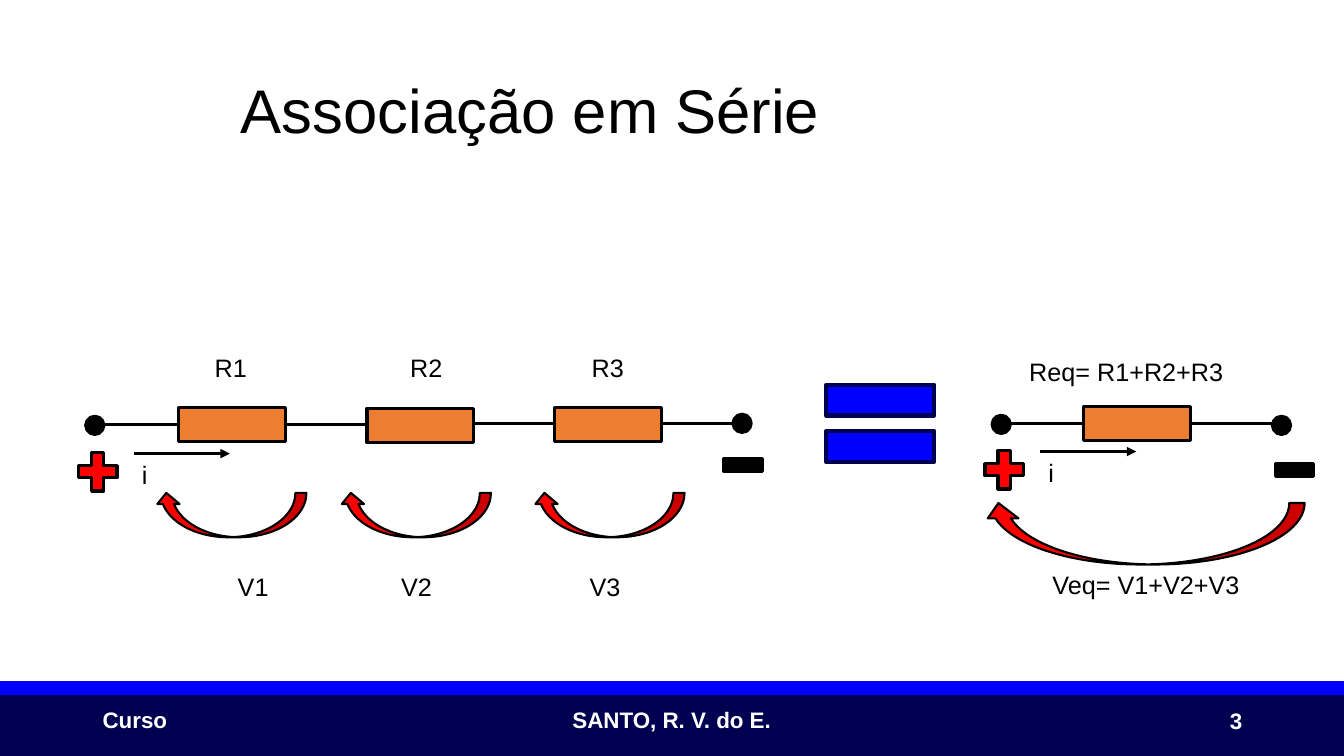
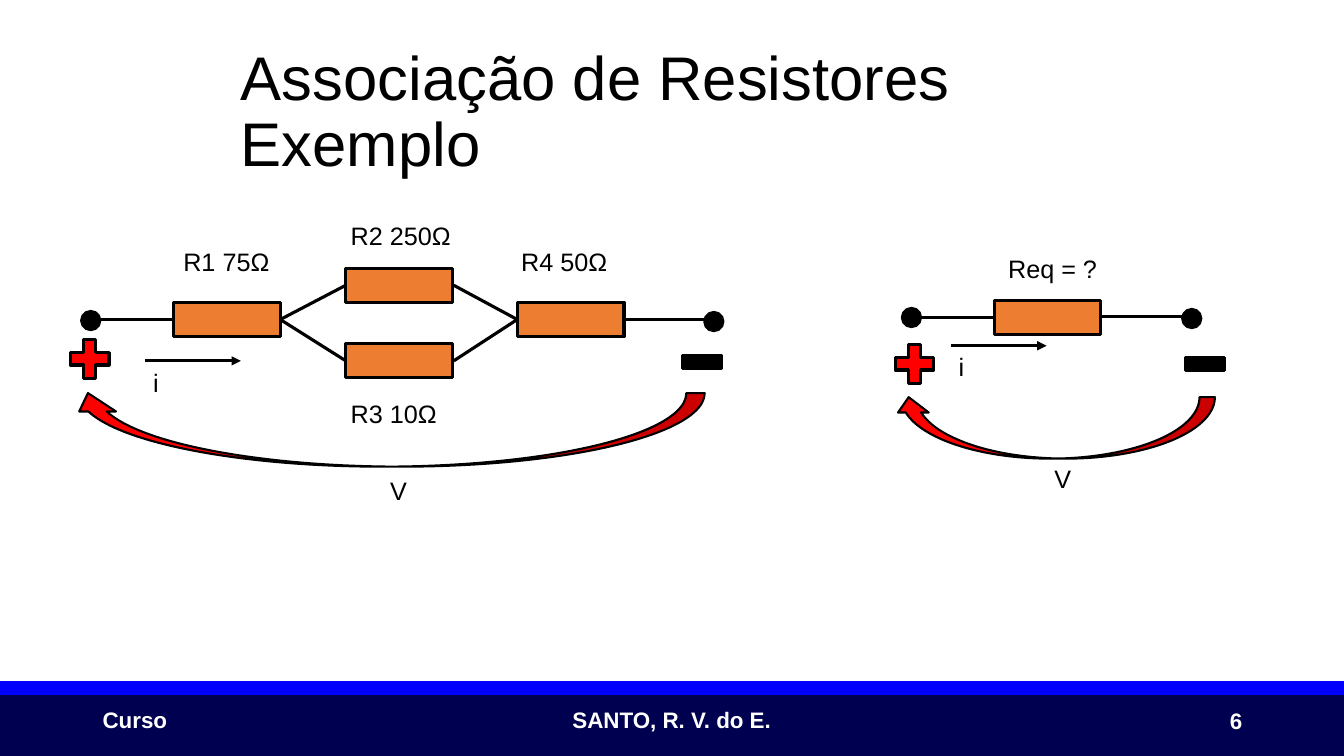
from lxml import etree
from pptx import Presentation
from pptx.dml.color import RGBColor
from pptx.enum.shapes import MSO_CONNECTOR, MSO_SHAPE
from pptx.enum.text import MSO_ANCHOR, PP_ALIGN
from pptx.oxml.ns import qn
from pptx.util import Inches, Pt

RECT, OVAL = MSO_SHAPE.RECTANGLE, MSO_SHAPE.OVAL
PLUS, MINUS, EQUAL = MSO_SHAPE.MATH_PLUS, MSO_SHAPE.MATH_MINUS, MSO_SHAPE.MATH_EQUAL
CURVE, LINE = MSO_SHAPE.CURVED_UP_ARROW, MSO_CONNECTOR.STRAIGHT
LEFT, RIGHT = PP_ALIGN.LEFT, PP_ALIGN.RIGHT
TOP, MIDDLE = MSO_ANCHOR.TOP, MSO_ANCHOR.MIDDLE

FONT = "Arial"
BLACK, WHITE, RED = "000000", "FFFFFF", "FF0000"
NAVY, BLUE, ORANGE = "000050", "0000FF", "ED7D31"

BANDS = [(0, 6.9, 13.33, 0.6, NAVY), (0, 6.76, 13.33, 0.13, BLUE)]
FOOTERS = [("Curso", 0.92, 0.9), ("SANTO, R. V. do E.", 5.58, 2.2)]
BOX_W, BOX_H, DOT = 1.06, 0.34, 0.18

SERIES = {
    "title": "Associação em Série",
    "number": "3",
    "wires": [
        (1.76, 4.21, 0.94, 4.21), (2.84, 4.21, 3.64, 4.21),
        (4.7, 4.2, 5.5, 4.2), (6.55, 4.2, 7.35, 4.2),
        (10.75, 4.2, 9.93, 4.2), (11.82, 4.2, 12.62, 4.2),
    ],
    "resistors": [(1.77, 4.04), (3.64, 4.05), (5.5, 4.04), (10.75, 4.03)],
    "dots": [(0.85, 4.13), (7.27, 4.11), (9.84, 4.12), (12.62, 4.13)],
    "plus": [(0.71, 4.42), (9.7, 4.4)],
    "minus": [(7.11, 4.34), (12.58, 4.39)],
    "equal": [(8, 3.55)],
    "currents": [(1.33, 4.5), (10.32, 4.48)],
    "volts": [
        (1.54, 4.89, 1.5, 0.44), (3.37, 4.89, 1.5, 0.44),
        (5.29, 4.89, 1.5, 0.44), (9.75, 4.99, 3.19, 0.61),
    ],
    "labels": [
        ("R1", 2.03, 3.45, 0.52), ("R2", 3.97, 3.45, 0.52),
        ("R3", 5.77, 3.45, 0.52), ("V1", 2.26, 5.62, 0.57),
        ("V2", 3.88, 5.62, 0.57), ("V3", 5.75, 5.62, 0.57),
        ("Req= R1+R2+R3", 10.11, 3.49, 2.14),
        ("Veq= V1+V2+V3", 10.34, 5.6, 2.09),
    ],
}
MIXED = {
    "title": "Associação de Resistores\vExemplo",
    "number": "6",
    "wires": [
        (2.78, 3.17, 3.43, 2.83), (3.43, 3.58, 2.78, 3.17),
        (4.5, 2.83, 5.13, 3.17), (5.13, 3.17, 4.5, 3.58),
        (6.19, 3.17, 6.99, 3.17), (1.72, 3.17, 0.9, 3.17),
        (9.86, 3.15, 9.04, 3.15), (10.93, 3.14, 11.73, 3.14),
    ],
    "resistors": [(3.43, 2.66), (3.43, 3.41), (5.13, 3), (1.72, 3), (9.86, 2.98)],
    "dots": [(6.99, 3.1), (0.81, 3.09), (8.95, 3.06), (11.73, 3.07)],
    "plus": [(0.63, 3.3), (8.81, 3.35)],
    "minus": [(6.7, 3.32), (11.69, 3.34)],
    "equal": [],
    "currents": [(1.44, 3.58), (9.43, 3.43)],
    "volts": [(0.69, 3.9, 6.3, 0.73), (8.86, 3.94, 3.19, 0.61)],
    "labels": [
        ("R1 75Ω", 1.72, 2.39, 1.07), ("R2 250Ω", 3.38, 2.14, 1.21),
        ("R3 10Ω", 3.38, 3.9, 1.07), ("R4 50Ω", 5.07, 2.39, 1.07),
        ("Req = ?", 9.9, 2.46, 1.09), ("V", 3.77, 4.67, 0.39),
        ("V", 10.36, 4.55, 0.39),
    ],
}
PARTS = [
    ("resistors", RECT, BOX_W, BOX_H, ORANGE, BLACK, 2.25),
    ("dots", OVAL, DOT, DOT, BLACK, BLACK, 2.25),
    ("plus", PLUS, 0.52, 0.52, RED, BLACK, 2.25),
    ("minus", MINUS, 0.52, 0.54, BLACK, BLACK, 2.25),
    ("equal", EQUAL, 1.46, 1.3, BLUE, NAVY, 3),
]


def rgb(code):
    """Return the colour of a hex string."""
    return RGBColor.from_string(code)


def add_form(slide, kind, x, y, w, h, fill, edge, width):
    """Add a filled and outlined preset shape."""
    form = slide.shapes.add_shape(kind, Inches(x), Inches(y), Inches(w), Inches(h))
    form.shadow.inherit = False
    form.fill.solid()
    form.fill.fore_color.rgb = rgb(fill)
    form.line.color.rgb = rgb(edge)
    form.line.width = Pt(width)
    return form


def add_line(slide, x1, y1, x2, y2, arrow=False):
    """Add a black wire, with an arrowhead on request."""
    line = slide.shapes.add_connector(
        LINE, Inches(x1), Inches(y1), Inches(x2), Inches(y2))
    line.line.color.rgb = rgb(BLACK)
    line.line.width = Pt(2.25)
    if arrow:
        etree.SubElement(line.line._get_or_add_ln(), qn("a:tailEnd"), type="triangle")
    etree.SubElement(line.element.spPr, qn("a:effectLst"))


def add_text(slide, text, x, y, w, h=0.4, size=18, color=BLACK, bold=False,
             align=LEFT, anchor=TOP, space=1.0):
    """Add a text box in the common font."""
    box = slide.shapes.add_textbox(Inches(x), Inches(y), Inches(w), Inches(h))
    frame = box.text_frame
    frame.word_wrap = True
    frame.vertical_anchor = anchor
    if align == LEFT:
        frame.margin_right = 0
    para = frame.paragraphs[0]
    para.text = text
    para.alignment = align
    para.line_spacing = space
    for run in para.runs:
        run.font.name = FONT
        run.font.size = Pt(size)
        run.font.bold = bold
        run.font.color.rgb = rgb(color)


def add_frame(slide, title, number):
    """Add the bands, footers, page number and title."""
    for x, y, w, h, color in BANDS:
        add_form(slide, RECT, x, y, w, h, color, color, 1)
    for text, x, w in FOOTERS:
        add_text(slide, text, x, 6.96, w, 0.37, 16, WHITE, True)
    add_text(slide, number, 9.42, 6.95, 3, 0.4, 16, WHITE, True, RIGHT, MIDDLE)
    add_text(slide, title, 2.29, 0.4, 10.12, 1.45, 44, anchor=MIDDLE, space=0.9)


def add_plan(slide, plan):
    """Draw the circuits of one slide."""
    for wire in plan["wires"]:
        add_line(slide, *wire)
    for name, kind, w, h, fill, edge, width in PARTS:
        for x, y in plan[name]:
            add_form(slide, kind, x, y, w, h, fill, edge, width)
    for spot in plan["volts"]:
        curve = add_form(slide, CURVE, *spot, RED, BLACK, 1.5)
        curve.element.spPr.get_or_add_xfrm().set("flipH", "1")
    for x, y in plan["currents"]:
        add_line(slide, x, y, x + 0.95, y, True)
        add_text(slide, "i", x - 0.02, y + 0.01, 0.52)
    for label in plan["labels"]:
        add_text(slide, *label)


def main():
    """Build and save the deck."""
    deck = Presentation()
    deck.slide_width, deck.slide_height = Inches(13.33), Inches(7.5)
    for plan in (SERIES, MIXED):
        slide = deck.slides.add_slide(deck.slide_layouts[6])
        add_frame(slide, plan["title"], plan["number"])
        add_plan(slide, plan)
    deck.save("out.pptx")


if __name__ == "__main__":
    main()
